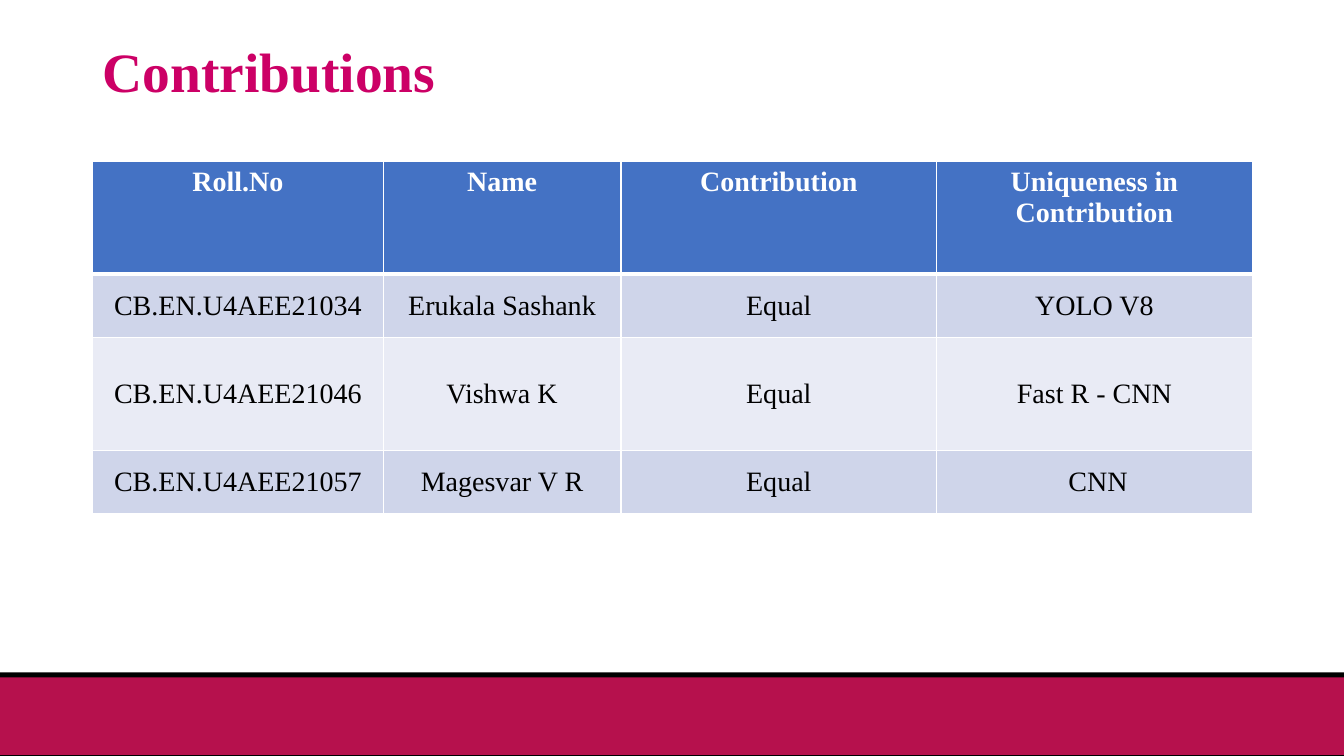
from dataclasses import dataclass

from lxml.etree import SubElement as Sub
from pptx import Presentation
from pptx.dml.color import RGBColor as RGB
from pptx.enum.shapes import MSO_SHAPE as Shape
from pptx.enum.text import MSO_ANCHOR as Anchor, PP_ALIGN as Align
from pptx.oxml.ns import qn
from pptx.util import Inches, Pt


@dataclass(frozen=True)
class Theme:
    """Colours, font and type sizes of the slide."""
    font: str = "Times New Roman"
    title: str = "CC0066"
    head: str = "4472C4"
    bands: tuple = ("CFD5EA", "E9EBF5")
    white: str = "FFFFFF"
    black: str = "000000"
    foot: str = "B6114D"
    big: float = 39.6
    body: float = 20


THEME = Theme()
WIDTH = 13.33
LEFT, SPAN = 0.92, 11.5
COLS = (2.88, 2.36, 3.13, 3.13)
HEIGHTS = (1.12, 0.63, 1.12, 0.63)
ROWS = (
    ("Roll.No", "Name", "Contribution", "Uniqueness in Contribution"),
    ("CB.EN.U4AEE21034", "Erukala Sashank", "Equal", "YOLO V8"),
    ("CB.EN.U4AEE21046", "Vishwa K", "Equal", "Fast R - CNN"),
    ("CB.EN.U4AEE21057", "Magesvar V R", "Equal", " CNN"),
)


def add_run(para, text, size, color, bold):
    """Add one styled run to a paragraph."""
    run = para.add_run()
    run.text = text
    font = run.font
    font.name, font.size, font.bold = THEME.font, Pt(size), bold
    font.color.rgb = RGB.from_string(color)


def add_bar(slide, top, height, color):
    """Draw a plain bar across the whole slide."""
    bar = slide.shapes.add_shape(
        Shape.RECTANGLE, 0, Inches(top), Inches(WIDTH), Inches(height))
    bar.shadow.inherit = False
    bar.fill.solid()
    bar.fill.fore_color.rgb = RGB.from_string(color)
    bar.line.fill.background()


def add_title(slide, text):
    """Write the slide title."""
    box = slide.shapes.add_textbox(
        Inches(LEFT), Inches(0.4), Inches(SPAN), Inches(0.68))
    frame = box.text_frame
    frame.word_wrap = True
    frame.vertical_anchor = Anchor.MIDDLE
    para = frame.paragraphs[0]
    para.line_spacing = 0.9
    add_run(para, text, THEME.big, THEME.title, True)


def set_edge(cell, side, width):
    """Give one side of a cell a white border."""
    props = cell._tc.get_or_add_tcPr()
    line = Sub(props, qn(f"a:ln{side}"), w=str(Pt(width)))
    fill = Sub(line, qn("a:solidFill"))
    Sub(fill, qn("a:srgbClr"), val=THEME.white)


def fill_cell(cell, text, row):
    """Style a cell by its row and write its text."""
    head = row == 0
    widths = {"L": 1, "R": 1, "T": 3 if row == 1 else 1, "B": 3 if head else 1}
    for side, width in widths.items():
        set_edge(cell, side, width)
    cell.fill.solid()
    color = THEME.head if head else THEME.bands[(row - 1) % 2]
    cell.fill.fore_color.rgb = RGB.from_string(color)
    cell.vertical_anchor = Anchor.TOP if head else Anchor.MIDDLE
    para = cell.text_frame.paragraphs[0]
    para.alignment = Align.CENTER
    add_run(para, text, THEME.body, THEME.white if head else THEME.black, head)


def add_grid(slide):
    """Build the table of contributions."""
    table = slide.shapes.add_table(
        len(ROWS), len(COLS), Inches(LEFT), Inches(1.6),
        Inches(SPAN), Inches(sum(HEIGHTS))).table
    for col, width in zip(table.columns, COLS):
        col.width = Inches(width)
    for row, height in zip(table.rows, HEIGHTS):
        row.height = Inches(height)
    for r, texts in enumerate(ROWS):
        for c, text in enumerate(texts):
            fill_cell(table.cell(r, c), text, r)


def main():
    """Build the slide and save it."""
    deck = Presentation()
    deck.slide_width, deck.slide_height = Inches(WIDTH), Inches(7.5)
    slide = deck.slides.add_slide(deck.slide_layouts[6])
    add_bar(slide, 6.67, 0.84, THEME.black)
    add_bar(slide, 6.72, 0.77, THEME.foot)
    add_title(slide, "Contributions")
    add_grid(slide)
    deck.save("out.pptx")


if __name__ == "__main__":
    main()
